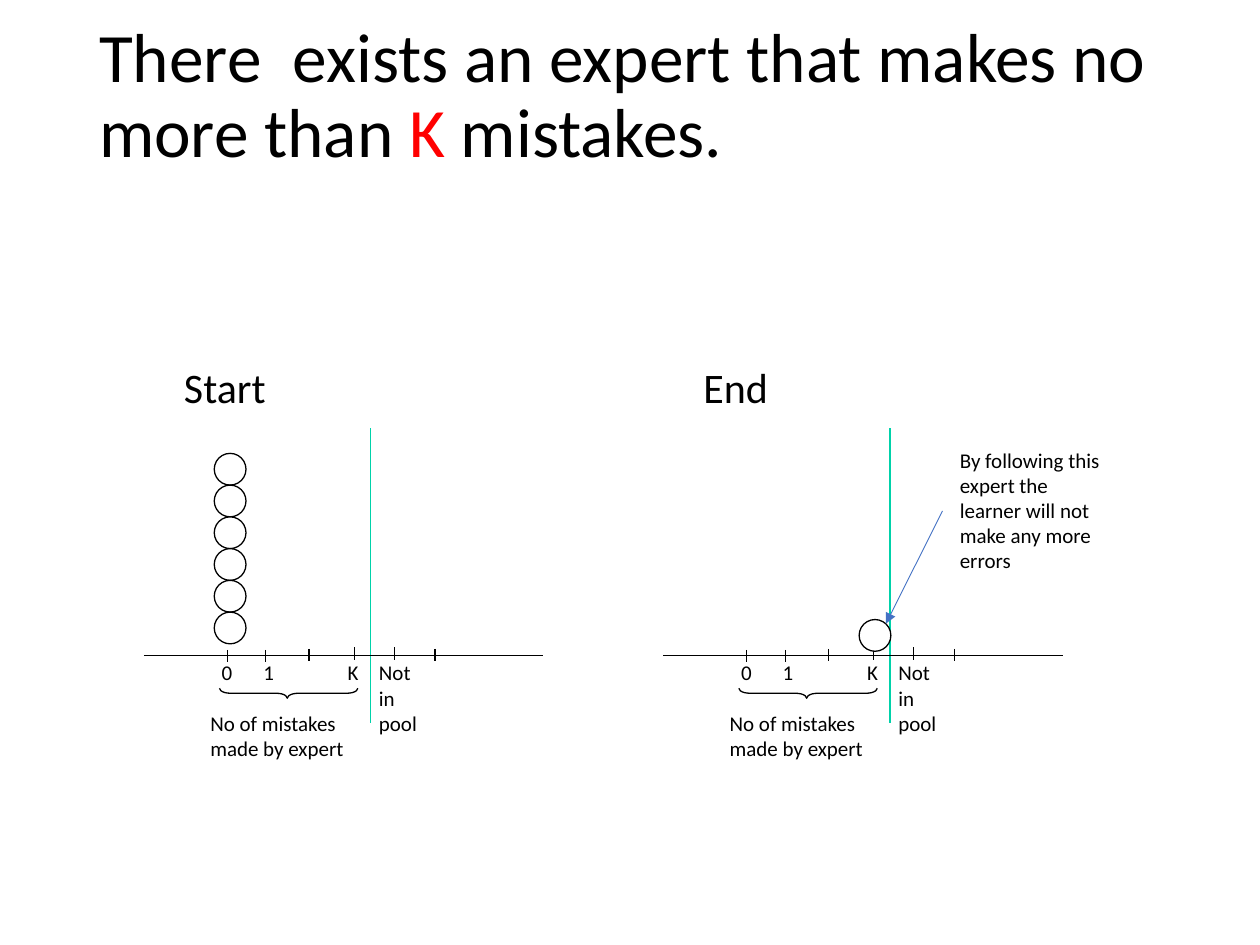
from lxml.etree import SubElement
from pptx import Presentation
from pptx.dml.color import RGBColor
from pptx.enum.shapes import MSO_CONNECTOR as Connector, MSO_SHAPE as Shape
from pptx.enum.text import MSO_ANCHOR as Anchor
from pptx.oxml.ns import qn
from pptx.util import Cm, Pt

FONT = "Calibri"
COLORS = {"black": "000000", "white": "FFFFFF", "red": "FF0000",
          "green": "00D2A9", "blue": "4472C4"}
CIRCLE = 0.64
AXIS_Y = 6.05
TICKS = [(1.68, 5.94), (2.46, 5.94), (3.33, 5.92),
         (4.24, 5.89), (5.05, 5.89), (5.87, 5.92)]
TICK_LENGTH = 0.25
AXIS_LABELS = [("0", 1.22, 0.79, 0.76), ("1", 2.06, 0.79, 0.76),
               ("K", 3.76, 0.79, 0.76), ("Not in pool", 4.39, 1.65, 1.8)]


def rgb(name):
    return RGBColor.from_string(COLORS[name])


def add_run(paragraph, text, size, color="black"):
    run = paragraph.add_run()
    run.text = text
    run.font.name = FONT
    run.font.size = Pt(size)
    run.font.color.rgb = rgb(color)


def add_text(slide, left, top, width, height, lines, size=12):
    box = slide.shapes.add_textbox(Cm(left), Cm(top), Cm(width), Cm(height))
    frame = box.text_frame
    frame.word_wrap = True
    for index, line in enumerate(lines):
        paragraph = frame.add_paragraph() if index else frame.paragraphs[0]
        properties = paragraph._p.get_or_add_pPr()
        properties.set("marL", str(Cm(0.1)))
        properties.set("indent", "0")
        add_run(paragraph, line, size)
    return box


def add_line(slide, x1, y1, x2, y2, color="black", width=0.75):
    line = slide.shapes.add_connector(Connector.STRAIGHT, Cm(x1), Cm(y1), Cm(x2), Cm(y2))
    line.line.color.rgb = rgb(color)
    line.line.width = Pt(width)
    SubElement(line._element.spPr, qn("a:effectLst"))
    return line


def add_outlined(slide, kind, left, top, width, height):
    shape = slide.shapes.add_shape(kind, Cm(left), Cm(top), Cm(width), Cm(height))
    shape.shadow.inherit = False
    shape.line.color.rgb = rgb("black")
    shape.line.width = Pt(0.75)
    return shape


def add_title(slide, left, top, width, height):
    box = slide.shapes.add_textbox(Cm(left), Cm(top), Cm(width), Cm(height))
    frame = box.text_frame
    frame.word_wrap = True
    frame.vertical_anchor = Anchor.MIDDLE
    paragraph = frame.paragraphs[0]
    paragraph.line_spacing = 0.9
    add_run(paragraph, "There  exists an expert that makes no more than ", 39.6)
    add_run(paragraph, "K", 39.6, "red")
    add_run(paragraph, " mistakes.", 39.6)


def add_pool(slide, left, top, width, heading, circles):
    """Mistake axis with a circle for each expert, at offsets from the pool's corner."""
    add_line(slide, left + 4.57, top + 1.47, left + 4.57, top + 7.42, "green")
    add_line(slide, left, top + AXIS_Y, left + width, top + AXIS_Y)
    for x, y in TICKS:
        add_line(slide, left + x, top + y, left + x, top + y + TICK_LENGTH)
    for text, x, label_width, height in AXIS_LABELS:
        add_text(slide, left + x, top + 6.02, label_width, height, [text])
    for x, y in circles:
        circle = add_outlined(slide, Shape.OVAL, left + x, top + y, CIRCLE, CIRCLE)
        circle.fill.solid()
        circle.fill.fore_color.rgb = rgb("white")
    add_text(slide, left + 0.46, top, 2.79, 1.27, [heading], 24)
    brace = add_outlined(slide, Shape.LEFT_BRACE, left + 2.82, top + 5.42, 0.2, 2.79)
    brace.fill.background()
    brace.rotation = 270
    brace.adjustments[0] = 1.12
    brace.adjustments[1] = 0.49
    add_text(slide, left + 0.99, top + 7.04, 3.48, 1.27, ["No of mistakes made by expert"])


def add_expert_note(slide, left, top, width, height):
    note = add_text(slide, left, top, width, height,
                    ["By following this expert the learner will not",
                     "make any more errors"])
    arrow = add_line(slide, left, top + height / 2, left - 1.14, top + 3.68, "blue", 0.5)
    arrow.begin_connect(note, 1)
    SubElement(arrow.line._get_or_add_ln(), qn("a:tailEnd"), type="triangle")


def main():
    presentation = Presentation()
    presentation.slide_width = Cm(25.4)
    presentation.slide_height = Cm(19.05)
    slide = presentation.slides.add_slide(presentation.slide_layouts[6])

    add_title(slide, 1.75, 1.02, 21.89, 1.88)
    stack = [(1.42, 1.98 + row * CIRCLE) for row in range(6)]
    add_pool(slide, 2.9, 7.16, 8.05, "Start", stack)
    add_pool(slide, 13.37, 7.16, 8.05, "End", [(3.95, 5.33)])
    add_expert_note(slide, 19, 8.89, 3.51, 2.82)
    presentation.save("out.pptx")


if __name__ == "__main__":
    main()
